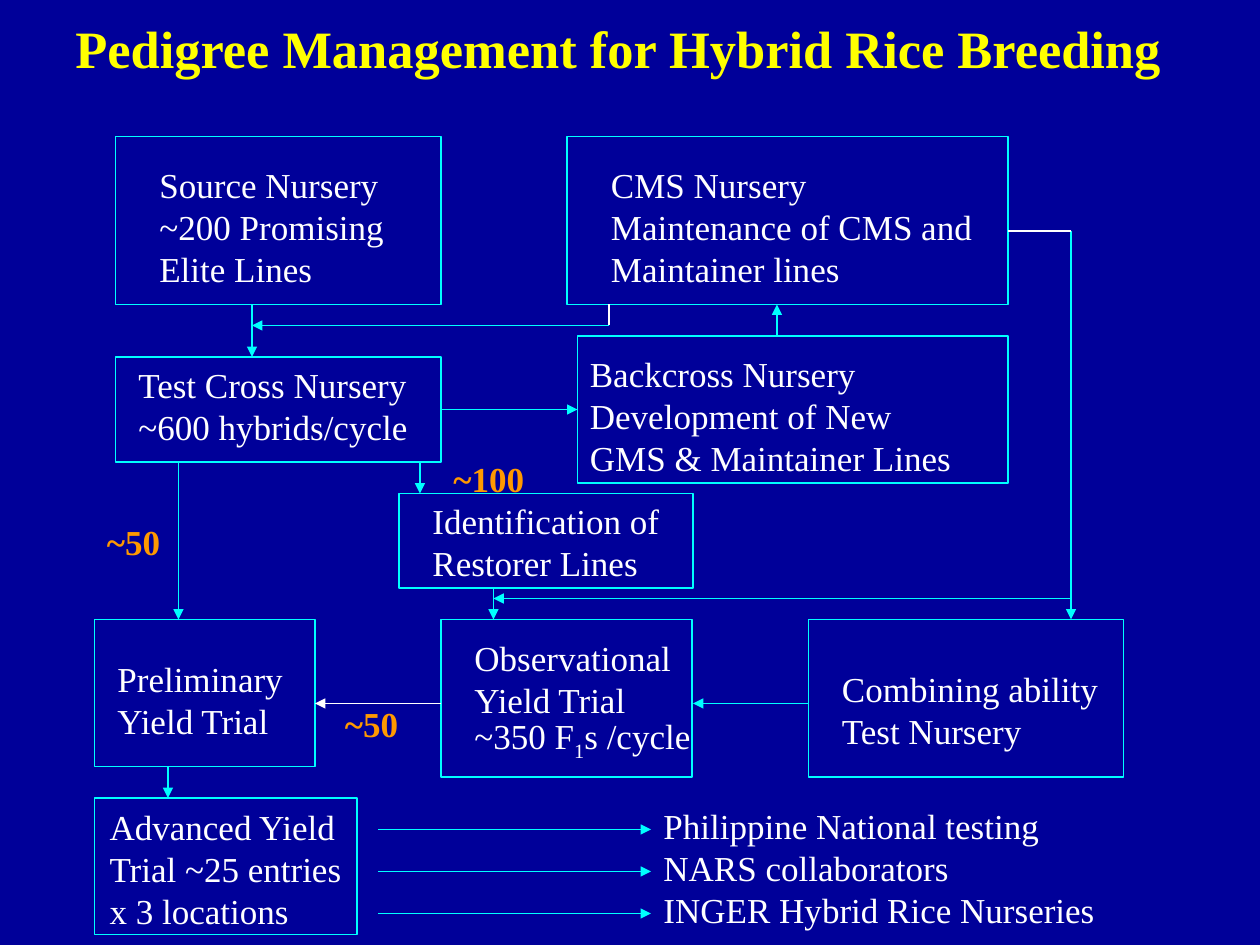
from pptx import Presentation
from pptx.dml.color import RGBColor
from pptx.enum.shapes import MSO_CONNECTOR as CONN, MSO_SHAPE as SHAPE
from pptx.enum.text import MSO_ANCHOR as ANCHOR, MSO_AUTO_SIZE as AUTO
from pptx.oxml.ns import qn
from pptx.util import Pt
from lxml.etree import SubElement

NAVY = RGBColor(0x00, 0x00, 0x99)
YELLOW = RGBColor(0xFF, 0xFF, 0x00)
WHITE = RGBColor(0xFF, 0xFF, 0xFF)
CYAN = RGBColor(0x00, 0xFF, 0xFF)
ORANGE = RGBColor(0xFF, 0x99, 0x00)

BODY = {"size": Pt(20), "name": "Times New Roman", "bold": False}
TITLE = {**BODY, "size": Pt(30), "bold": True}
COUNT = {**BODY, "bold": True}
LINE_HEIGHT = 24


class Diagram:
    """Draws flow chart parts on one slide; all lengths are points."""

    def __init__(self, s):
        self.s = s
        self.line_width = Pt(0.75)

    def text(self, x, y, w, h, text, fmt=BODY, color=WHITE):
        """Add a text box; text between underscores is set as subscript."""
        sp = self.s.shapes.add_textbox(Pt(x), Pt(y), Pt(w), Pt(h))
        tf = sp.text_frame
        tf.word_wrap = True
        p = tf.paragraphs[0]
        for i, part in enumerate(text.split("_")):
            for j, row in enumerate(part.split("\n")):
                if j:
                    p.add_line_break()
                r = p.add_run()
                r.text = row
                for key, value in fmt.items():
                    setattr(r.font, key, value)
                r.font.color.rgb = color
                if i % 2:
                    r._r.get_or_add_rPr().set("baseline", "-25000")
        return tf

    def label(self, x, y, w, lines, text, fmt=BODY, color=WHITE):
        """Add body text in a box as high as its number of lines."""
        tf = self.text(x, y, w, lines * LINE_HEIGHT + 7.2, text, fmt, color)
        tf.auto_size = AUTO.SHAPE_TO_FIT_TEXT
        tf.paragraphs[0].line_spacing = Pt(LINE_HEIGHT)

    def box(self, x, y, w, h):
        sp = self.s.shapes.add_shape(SHAPE.RECTANGLE, Pt(x), Pt(y), Pt(w), Pt(h))
        sp.shadow.inherit = False
        sp.fill.background()
        sp.line.color.rgb = CYAN
        sp.line.width = self.line_width

    def line(self, x1, y1, x2, y2, color=CYAN, arrow=True):
        sp = self.s.shapes.add_connector(CONN.STRAIGHT, Pt(x1), Pt(y1), Pt(x2), Pt(y2))
        sp.line.color.rgb = color
        sp.line.width = self.line_width
        if arrow:
            SubElement(sp.line._get_or_add_ln(), qn("a:tailEnd"), type="triangle")
        SubElement(sp._element.spPr, qn("a:effectLst"))


def main():
    prs = Presentation()
    prs.slide_width, prs.slide_height = Pt(720), Pt(540)
    s = prs.slides.add_slide(prs.slide_layouts[6])
    s.background.fill.solid()
    s.background.fill.fore_color.rgb = NAVY
    d = Diagram(s)

    # Title
    tf = d.text(36, -18, 660, 90, "Pedigree Management for Hybrid Rice Breeding",
                TITLE, YELLOW)
    tf.vertical_anchor = ANCHOR.MIDDLE

    # Stages: box, then label place, line count and wording
    stages = [
        ((66, 78, 186, 96), (84, 90, 168, 3),
         "Source Nursery\n~200 Promising\nElite Lines"),
        ((324, 78, 252, 96), (342, 90, 306, 3),
         "CMS Nursery\nMaintenance of CMS and Maintainer lines"),
        ((66, 204, 186, 60), (72, 204, 180, 2),
         "Test Cross Nursery\n~600 hybrids/cycle"),
        ((330, 192, 246, 84), (330, 198, 246, 3),
         "Backcross Nursery\nDevelopment of New\nGMS & Maintainer Lines"),
        ((228, 282, 168, 54), (240, 282, 168, 2),
         "Identification of\nRestorer Lines"),
        ((54, 354, 126, 84), (60, 372, 144, 2), "Preliminary Yield Trial"),
        ((252, 354, 143.5, 90), (264, 360, 168, 3),
         "Observational Yield Trial\n~350 F_1_s /cycle"),
        ((462, 354, 180, 90), (474, 378, 204, 2),
         "Combining ability\nTest Nursery"),
        ((54, 456, 150, 78), (55.5, 457, 162, 3),
         "Advanced Yield\nTrial ~25 entries\nx 3 locations"),
    ]
    for frame, place, wording in stages:
        d.box(*frame)
        d.label(*place, wording)

    # Arrows between stages
    for ends in [
        (144, 174, 144, 204),  # source to test cross
        (348, 186, 144, 186),  # CMS to test cross
        (252, 234, 330, 234),  # test cross to backcross
        (444, 192, 444, 174),  # backcross to CMS
        (102, 264, 102, 354),  # test cross to preliminary
        (240, 264, 240, 282),  # test cross to restorer
        (282, 336, 282, 354),  # restorer to observational
        (612, 132, 612, 354),  # CMS to combining ability
        (612, 342, 282, 342),  # CMS to observational
        (462, 402, 396, 402),  # combining ability to observational
        (96, 438, 96, 456),    # preliminary to advanced
    ]:
        d.line(*ends)
    d.line(252, 402, 180, 402, WHITE)

    # Plain stubs leaving the CMS nursery
    d.line(576, 132, 612, 132, WHITE, arrow=False)
    d.line(348, 174, 348, 186, WHITE, arrow=False)

    # Entry counts
    for x, y, w, count in [(54, 294, 54, "~50"), (190, 398, 54, "~50"),
                           (252, 258, 66, "~100")]:
        d.label(x, y, w, 1, count, COUNT, ORANGE)

    # Final testing destinations
    d.label(372, 456, 312, 3, "Philippine National testing\nNARS collaborators\n"
            "INGER Hybrid Rice Nurseries")
    for i in range(3):
        y = 474 + i * LINE_HEIGHT
        d.line(216, y, 372, y)

    prs.save("out.pptx")


if __name__ == "__main__":
    main()
